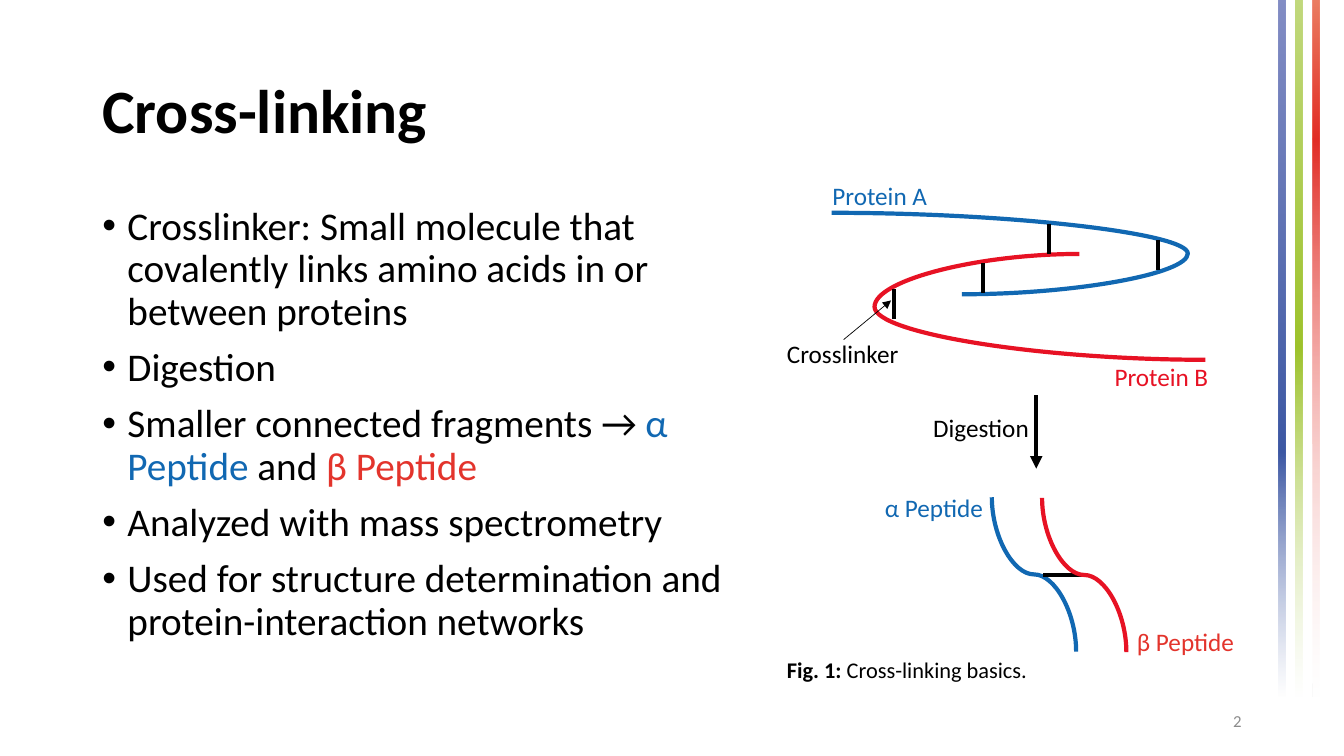
from lxml.etree import SubElement
from pptx import Presentation
from pptx.dml.color import RGBColor
from pptx.enum.shapes import MSO_CONNECTOR, MSO_SHAPE
from pptx.enum.text import MSO_ANCHOR, MSO_AUTO_SIZE, PP_ALIGN
from pptx.oxml.ns import qn
from pptx.util import Pt

BLACK = RGBColor(0x00, 0x00, 0x00)
WHITE = RGBColor(0xFF, 0xFF, 0xFF)
GREY = RGBColor(0x8C, 0x8C, 0x8C)
BLUE = RGBColor(0x11, 0x68, 0xB2)
RED = RGBColor(0xE7, 0x12, 0x24)
SOFT_RED = RGBColor(0xE3, 0x34, 0x2C)

# top colour, middle colour, middle position %, opacity of the white end %
STRIPES = [
    (RGBColor(0x84, 0x8E, 0xC5), RGBColor(0x3D, 0x58, 0xA4), 65, 60),
    (RGBColor(0xC2, 0xD9, 0x7E), RGBColor(0x9E, 0xC3, 0x2C), 50, 45),
    (RGBColor(0xEB, 0x7E, 0x63), RGBColor(0xE2, 0x2D, 0x25), 20, 15),
]

BULLETS = [
    ["Crosslinker: Small molecule that covalently links amino acids in or between proteins"],
    ["Digestion"],
    ["Smaller connected fragments → ", ("α Peptide ", BLUE), "and ", ("β Peptide", SOFT_RED)],
    ["Analyzed with mass spectrometry"],
    ["Used for structure determination and protein-interaction networks"],
]

# text, left, top, width, colour
LABELS = [
    ("Protein A", 587.5, 125.3, 142, BLUE),
    ("Protein B", 789, 254.2, 101, RED),
    ("Digestion", 659.5, 290.9, 90, BLACK),
    ("α Peptide", 625, 347.8, 90, BLUE),
    ("β Peptide", 805, 443.5, 89, SOFT_RED),
    ("Crosslinker", 555, 238.3, 101, BLACK),
]

CROSSLINK_HEIGHT = 21.6
CROSSLINKS = [(702, 187.9), (749.5, 159.8), (638.6, 206.6), (827.3, 171.4)]


class SlideBuilder:
    font_name = "Calibri"
    line_width = 3

    def __init__(self, page):
        self.page = page

    def stripe(self, left, width, height, stops):
        """Add a bar fading downwards; stops are (percent, colour, opacity percent)."""
        bar = self.page.shapes.add_shape(
            MSO_SHAPE.RECTANGLE, Pt(left), Pt(0), Pt(width), Pt(height))
        bar.shadow.inherit = False
        bar.line.fill.background()
        bar.fill.gradient()
        bar.fill.gradient_angle = 270
        stop_list = bar.element.spPr.find(".//" + qn("a:gsLst"))
        stop_list.clear()
        for position, color, opacity in stops:
            stop = SubElement(stop_list, qn("a:gs"), pos=str(position * 1000))
            paint = SubElement(stop, qn("a:srgbClr"), val=str(color))
            if opacity < 100:
                SubElement(paint, qn("a:alpha"), val=str(opacity * 1000))

    def text(self, left, top, width, height, paragraphs, size, color=BLACK, bold=None,
             align=None, anchor=MSO_ANCHOR.TOP, spacing=None, bullets=False, grow=False):
        """Add a text box; a run is a string or a (string, colour, bold) tuple."""
        box = self.page.shapes.add_textbox(Pt(left), Pt(top), Pt(width), Pt(height))
        frame = box.text_frame
        frame.word_wrap = True
        frame.vertical_anchor = anchor
        frame.auto_size = MSO_AUTO_SIZE.SHAPE_TO_FIT_TEXT if grow else MSO_AUTO_SIZE.NONE
        for index, runs in enumerate(paragraphs):
            para = frame.add_paragraph() if index else frame.paragraphs[0]
            para.alignment = align
            para.line_spacing = spacing
            if bullets:
                self.bullet(para)
            para.font.name = self.font_name
            para.font.size = Pt(size)
            para.font.bold = bold
            para.font.color.rgb = color
            for run in runs:
                words, *style = (run,) if isinstance(run, str) else run
                span = para.add_run()
                span.text = words
                if style:
                    span.font.color.rgb = style[0]
                if len(style) > 1:
                    span.font.bold = style[1]

    def bullet(self, para):
        para.space_before = Pt(10)
        properties = para._p.get_or_add_pPr()
        properties.set("marL", str(Pt(18)))
        properties.set("indent", str(-Pt(18)))
        SubElement(properties, qn("a:buFont"), typeface="Arial")
        SubElement(properties, qn("a:buChar"), char="•")

    def line(self, x1, y1, x2, y2, color=BLACK, width=line_width, arrow=False,
             kind=MSO_CONNECTOR.STRAIGHT):
        link = self.page.shapes.add_connector(kind, Pt(x1), Pt(y1), Pt(x2), Pt(y2))
        link.line.color.rgb = color
        link.line.width = Pt(width)
        if arrow:
            SubElement(link.line._get_or_add_ln(), qn("a:tailEnd"), type="triangle")
        SubElement(link.element.spPr, qn("a:effectLst"))
        return link

    def curve(self, x1, y1, x2, y2, color, bend):
        """Add a curve whose bend lies at that share of its width."""
        link = self.line(x1, y1, x2, y2, color, kind=MSO_CONNECTOR.CURVE)
        geometry = link.element.spPr.find(qn("a:prstGeom"))
        guides = geometry.find(qn("a:avLst"))
        if guides is None:
            guides = SubElement(geometry, qn("a:avLst"))
        SubElement(guides, qn("a:gd"), name="adj1", fmla=f"val {round(bend * 100000)}")
        return link

    def upright_curve(self, left, top, width, height, color):
        """Add an S that starts and ends vertically: a flipped curve turned by 270 degrees."""
        middle_x, middle_y = left + width / 2, top + height / 2
        link = self.curve(middle_x + height / 2, middle_y - width / 2,
                          middle_x - height / 2, middle_y + width / 2, color, 0.5)
        link.element.spPr.find(qn("a:xfrm")).set("rot", str(270 * 60000))


def main():
    deck = Presentation()
    deck.slide_width, deck.slide_height = Pt(960), Pt(540)
    builder = SlideBuilder(deck.slides.add_slide(deck.slide_layouts[6]))

    for index, (top_color, middle_color, middle, opacity) in enumerate(STRIPES):
        builder.stripe(913 + 12.2 * index, 5.3, 497.5, [
            (0, top_color, 100), (middle, middle_color, 100), (100, WHITE, opacity)])

    builder.text(66, 28.8, 828, 104.4, [["Cross-linking"]], 44, bold=True,
                 anchor=MSO_ANCHOR.MIDDLE, spacing=0.9)
    builder.text(66, 144, 473, 342.7, BULLETS, 28, spacing=0.9, bullets=True)
    builder.text(678, 500.4, 216, 28.8, [["2"]], 12, GREY,
                 align=PP_ALIGN.RIGHT, anchor=MSO_ANCHOR.MIDDLE)

    # Proteins and the crosslinkers between them
    builder.curve(594, 152, 687, 210.2, BLUE, 2.736)
    builder.curve(771, 181.4, 861, 257, RED, -1.626)
    for x, y in CROSSLINKS:
        builder.line(x, y, x, y + CROSSLINK_HEIGHT)
    builder.line(602.6, 242.6, 636.5, 214.6, width=0.5, arrow=True)

    # Digestion into two linked peptides
    builder.line(740.2, 282.2, 740.2, 334.8, arrow=True)
    builder.upright_curve(708.5, 355.2, 60.2, 110.2, BLUE)
    builder.line(745.2, 411, 774, 411)
    builder.upright_curve(744.4, 355.6, 60.2, 110.2, RED)

    for words, left, top, width, color in LABELS:
        builder.text(left, top, width, 29, [[words]], 18, color, grow=True)
    builder.text(555, 465, 230.4, 26.6,
                 [[("Fig. 1:", BLACK, True), " Cross-linking basics."]], 16, grow=True)

    deck.save("out.pptx")


if __name__ == "__main__":
    main()
